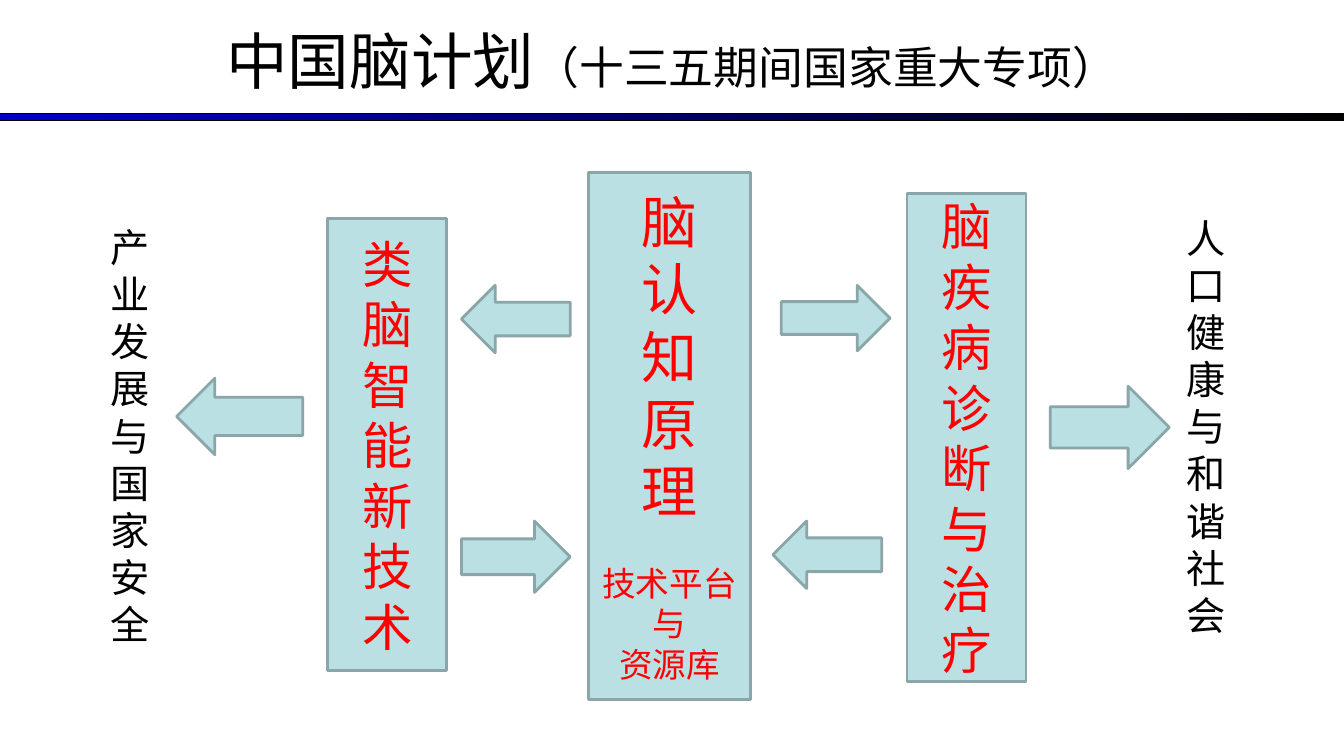
from dataclasses import dataclass

from pptx import Presentation
from pptx.dml.color import RGBColor
from pptx.enum.shapes import MSO_SHAPE as Shape
from pptx.enum.text import MSO_ANCHOR as Anchor, PP_ALIGN as Align
from pptx.util import Cm, Pt

WIDTH, HEIGHT = 33.87, 19.05


@dataclass(frozen=True)
class Theme:
    font: str = "Arial"
    ink: RGBColor = RGBColor(0x00, 0x00, 0x00)
    accent: RGBColor = RGBColor(0xFF, 0x00, 0x00)
    fill: RGBColor = RGBColor(0xBB, 0xE0, 0xE3)
    outline: RGBColor = RGBColor(0x8A, 0xA6, 0xA8)
    rule_start: RGBColor = RGBColor(0x00, 0x00, 0xCC)
    title: int = 44
    subtitle: int = 32
    core: int = 40
    pillar: int = 36
    goal: int = 28
    note: int = 24


def add_text(paragraph, text, *, font, size, color, align=Align.LEFT, before=0):
    """Append a formatted run to a paragraph."""
    paragraph.alignment = align
    paragraph.space_before = Pt(before)
    run = paragraph.add_run()
    run.text = text
    run.font.name = font
    run.font.size = Pt(size)
    run.font.color.rgb = color


class SlideBuilder:
    def __init__(self, slide, theme):
        self.slide = slide
        self.theme = theme

    def shape(self, kind, box):
        shape = self.slide.shapes.add_shape(kind, *map(Cm, box))
        shape.shadow.inherit = False
        shape.fill.solid()
        shape.fill.fore_color.rgb = self.theme.fill
        shape.line.color.rgb = self.theme.outline
        shape.line.width = Pt(2)
        return shape

    def rule(self, box):
        shape = self.shape(Shape.RECTANGLE, box)
        shape.fill.gradient()
        shape.fill.gradient_angle = 0
        colors = (self.theme.rule_start, self.theme.ink)
        for stop, position, color in zip(shape.fill.gradient_stops, (0, 1), colors):
            stop.position = position
            stop.color.rgb = color
        shape.line.color.rgb = self.theme.ink
        shape.line.width = Pt(0.75)

    def text_box(self, box, runs, align=Align.LEFT, anchor=Anchor.TOP):
        frame = self.slide.shapes.add_textbox(*map(Cm, box)).text_frame
        frame.word_wrap = True
        frame.vertical_anchor = anchor
        for text, size in runs:
            add_text(frame.paragraphs[0], text, font=self.theme.font, size=size,
                     color=self.theme.ink, align=align)

    def pillar(self, box, lines):
        """Draw a box with one paragraph per (text, size, space before)."""
        frame = self.shape(Shape.RECTANGLE, box).text_frame
        frame.word_wrap = True
        frame.vertical_anchor = Anchor.MIDDLE
        for index, (text, size, before) in enumerate(lines):
            paragraph = frame.add_paragraph() if index else frame.paragraphs[0]
            add_text(paragraph, text, font=self.theme.font, size=size,
                     color=self.theme.accent, align=Align.CENTER, before=before)


def main():
    presentation = Presentation()
    presentation.slide_width, presentation.slide_height = Cm(WIDTH), Cm(HEIGHT)
    theme = Theme()
    slide = presentation.slides.add_slide(presentation.slide_layouts[6])
    builder = SlideBuilder(slide, theme)

    # Title and the rule below it
    builder.rule((0, 2.87, WIDTH, 0.18))
    builder.text_box((0, -0.08, WIDTH, 3.18),
                     [("中国脑计划", theme.title),
                      ("（十三五期间国家重大专项）", theme.subtitle)],
                     align=Align.CENTER, anchor=Anchor.MIDDLE)

    # Core in the middle, one pillar on each side
    core = [(character, theme.core, 0) for character in "脑认知原理"]
    platform = [("技术平台与", theme.note, 28), ("资源库", theme.note, 0)]
    builder.pillar((14.83, 4.34, 4.09, 13.28), core + platform)
    builder.pillar((8.26, 5.51, 3, 11.38), [("类脑智能新技术", theme.pillar, 0)])
    builder.pillar((22.86, 4.88, 3, 12.29), [("脑疾病诊断与治疗", theme.pillar, 0)])

    # Goals at the outer edges
    builder.text_box((2.54, 5.51, 1.75, 11.02), [("产业发展与国家安全", theme.goal)])
    builder.text_box((29.64, 5.28, 1.75, 10.92), [("人口健康与和谐社会", theme.goal)])

    # Arrows between core, pillars and goals
    arrows = {
        Shape.RIGHT_ARROW: [(11.63, 13.13, 2.74, 1.8),
                            (19.69, 7.19, 2.74, 1.65),
                            (26.47, 9.73, 3, 2.08)],
        Shape.LEFT_ARROW: [(19.48, 13.13, 2.74, 1.7),
                           (4.45, 9.53, 3.18, 1.93),
                           (11.63, 7.19, 2.74, 1.7)],
    }
    for kind, boxes in arrows.items():
        for box in boxes:
            builder.shape(kind, box)

    presentation.save("out.pptx")


if __name__ == "__main__":
    main()
